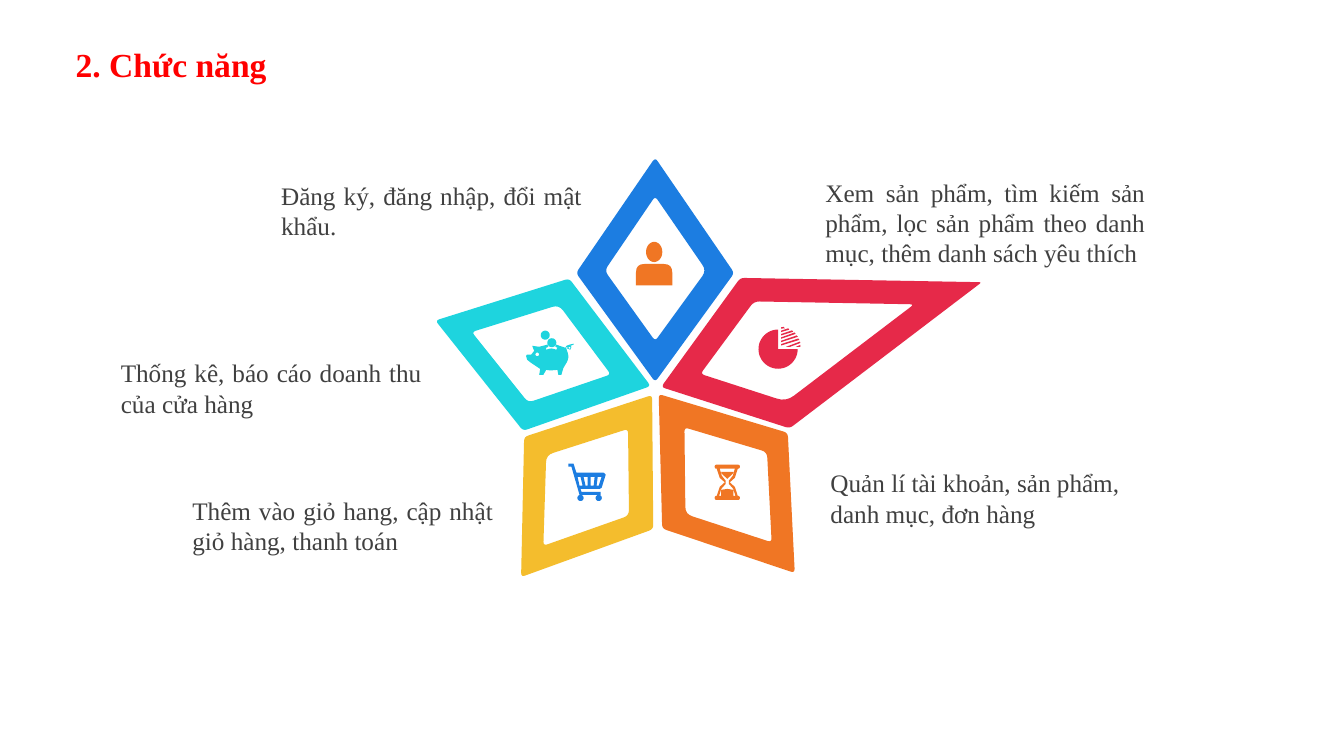
import math

from pptx import Presentation
from pptx.dml.color import RGBColor
from pptx.enum import text
from pptx.util import Pt

BLUE = RGBColor(0x1C, 0x7D, 0xE1)
RED = RGBColor(0xE6, 0x29, 0x49)
CYAN = RGBColor(0x1E, 0xD4, 0xDE)
YELLOW = RGBColor(0xF4, 0xBD, 0x2D)
ORANGE = RGBColor(0xF0, 0x76, 0x24)
TITLE_RED = RGBColor(0xFF, 0x00, 0x00)
GREY = RGBColor(0x40, 0x40, 0x40)
FONT = "Times New Roman"

# Each petal: colour, outer corners, inner corners; a third number is the corner's own rounding.
PETALS = [
    (BLUE, [(468, 112.6), (524.5, 195), (468, 272.8), (411.5, 195)],
     [(468, 140.2), (504.6, 193.3, 5), (468, 243.6), (431.9, 193.3, 4)]),
    (RED, [(528.9, 198.5), (701.3, 201.6, 2), (564.1, 306), (472.3, 276.5)],
     [(538.6, 215.3, 4), (653, 217.4), (561.6, 286.9, 7), (500.4, 267.1)]),
    (CYAN, [(406.6, 199), (311, 229), (373.7, 307.8), (464.8, 275.8)],
     [(399.2, 217.8, 5), (337, 237.2), (377.3, 287.6, 4), (436.3, 267.5)]),
    (YELLOW, [(374.4, 312.1), (372.2, 412.2), (466.6, 378), (465.8, 282.2)],
     [(390.2, 325.1, 5), (448.6, 306.4), (449.3, 368.3, 4), (388.1, 389.9)]),
    (ORANGE, [(473, 377.6), (567.7, 409.3), (562.7, 309.2), (470.5, 281.5)],
     [(489.6, 367.2, 5), (488.9, 305.3), (547.9, 322.9, 4), (551.2, 387.4)]),
]
LABELS = [
    ("Đăng ký, đăng nhập, đổi mật khẩu.", 193.7, 125.3, 229, 51, True),
    ("Thêm vào giỏ hang, cập nhật giỏ hàng, thanh toán", 130.3, 349.9, 229, 51, True),
    ("Thống kê, báo cáo doanh thu của cửa hàng", 79.2, 252, 229, 51, True),
    ("Xem sản phẩm, tìm kiếm sản phẩm, lọc sản phẩm theo danh mục, "
     "thêm danh sách yêu thích", 582.5, 123.1, 242.6, 72.7, True),
    ("Quản lí tài khoản, sản phẩm, danh mục, đơn hàng", 586.1, 330.5, 229, 51, False),
]
PIG_BODY = [
    (409.7, 245.5), (409.7, 246.2), (407.5, 247), (408.2, 247.7), (407.5, 249.8),
    (405.4, 249.1), (405.4, 247.7), (404.6, 247.7), (404.6, 249.1), (406.8, 255.6, 4),
    (402.5, 262.8), (401, 267.8), (398.9, 267.8), (398.2, 264.2), (393.1, 264.6),
    (390.2, 264.2), (388.1, 267.8), (385.2, 267.8), (385.9, 263.5), (379.4, 259.2),
    (376.6, 257), (375.8, 254.2), (376.4, 253.4), (379.4, 253.4), (381.6, 250.6),
    (380.2, 247), (385.2, 247.7), (391, 246.2), (391.7, 247.7), (390.2, 248.4),
    (390.2, 249.8), (393.8, 248.6, 2), (397.4, 249.8), (398.2, 248.4), (396.7, 247.7),
    (397.4, 246.2), (403.9, 248.4), (404.6, 247), (406.8, 246.2),
]
CART_BODY = [
    (406.1, 331.2), (409.7, 331.2), (411.8, 337.7), (431.3, 337.7), (432.7, 339.1),
    (429.8, 348.5), (428.4, 349.2), (414.7, 349.2), (415.4, 351.4), (429.1, 351.4),
    (429.1, 353.5), (414, 353.5), (408.2, 333.4), (406.1, 333.4),
]
# Top left, top right, bottom right, bottom left x of each gap in the basket.
CART_GAPS = [(412.6, 414.7, 416.2, 414), (416.9, 419.8, 419.8, 418.3),
             (421.9, 424.8, 424.1, 421.9), (427, 429.8, 427.7, 426.2)]
STRIPE_TIPS = [(560.2, 234), (563.4, 235), (566.2, 236.5), (568, 238),
               (569.5, 240.1), (570.6, 242.3)]


def rounded(corners, cut=0):
    """Return a polygon whose corners are rounded, each by its own third value or by cut."""
    points = []
    for i, (x, y, *own) in enumerate(corners):
        size = own[0] if own else cut
        if not size:
            points.append((x, y))
            continue
        ends = []
        for other in (corners[i - 1], corners[(i + 1) % len(corners)]):
            share = size / math.dist((x, y), other[:2])
            ends.append((x + (other[0] - x) * share, y + (other[1] - y) * share))
        (ax, ay), (bx, by) = ends
        for t in (0, 0.25, 0.5, 0.75, 1):
            a, c, b = (1 - t) ** 2, 2 * t * (1 - t), t * t
            points.append((a * ax + c * x + b * bx, a * ay + c * y + b * by))
    return points


def arc(cx, cy, rx, ry=None, sweep=360):
    ry = ry or rx
    angles = [math.radians(sweep * i / 36) for i in range(37)]
    return [(cx + rx * math.cos(a), cy + ry * math.sin(a)) for a in angles]


def mirrored(right_half, axis=519.5):
    return right_half + [(2 * axis - x, y) for x, y in reversed(right_half)]


def add_outline(slide, color, contours):
    """Draw closed contours as one shape; a contour inside another is a hole."""
    builder = None
    for contour in contours:
        (x, y), *rest = [(Pt(px), Pt(py)) for px, py in contour]
        if builder is None:
            builder = slide.shapes.build_freeform(x, y)
        else:
            builder.move_to(x, y)
        builder.add_line_segments(rest)
    sp = builder.convert_to_shape()
    sp.shadow.inherit = False
    sp.fill.solid()
    sp.fill.fore_color.rgb = color
    sp.line.fill.background()


def write(sp, content, size, color, align, bold=False):
    tf = sp.text_frame
    tf.word_wrap = True
    tf.auto_size = text.MSO_AUTO_SIZE.SHAPE_TO_FIT_TEXT
    tf.vertical_anchor = text.MSO_ANCHOR.TOP
    p = tf.paragraphs[0]
    p.alignment = align
    r = p.add_run()
    r.text = content
    r.font.name, r.font.size, r.font.bold = FONT, Pt(size), bold
    r.font.color.rgb = color


def add_title(slide, content):
    sp = slide.shapes.title
    sp.left, sp.top, sp.width, sp.height = Pt(46.8), Pt(28.1), Pt(480), Pt(36)
    write(sp, content, 24, TITLE_RED, text.PP_ALIGN.LEFT, bold=True)


def add_label(slide, content, left, top, width, height, justified):
    sp = slide.shapes.add_textbox(Pt(left), Pt(top), Pt(width), Pt(height))
    align = text.PP_ALIGN.JUSTIFY if justified else text.PP_ALIGN.LEFT
    write(sp, content, 18, GREY, align)


def add_piggy_bank(slide):
    circles = [(406.8, 248.4, 0.7), (383.8, 253.1, 1.3), (394.2, 244.8, 3.2), (389.5, 239.4, 3.2)]
    add_outline(slide, CYAN, [rounded(PIG_BODY)] + [arc(*c) for c in circles])


def add_pie(slide):
    pie = [(555.8, 249.4)] + arc(555.8, 249.4, 14, sweep=270)
    stripes = []
    for i, (x, y) in enumerate(STRIPE_TIPS):
        left_y = 234.3 + 2.4 * i
        stripes.append([(x - 0.4, y - 0.5), (x + 0.4, y + 0.5),
                        (558, left_y + 0.5), (558, left_y - 0.5)])
    stripes.append([(571.4, 244), (571.7, 245), (564.5, 247.7), (561.6, 247.7)])
    stripes.append([(571.7, 246.4), (571.7, 247.7), (568.5, 247.7)])
    add_outline(slide, RED, [pie] + stripes)


def add_hourglass(slide):
    halves = [
        [(527, 334.8), (524.9, 341.3), (521.3, 344.5), (524.9, 347.8), (527, 354.2)],
        [(524.9, 334.8), (523.4, 339.8), (520.6, 343.4), (520.6, 345.6), (523.8, 349.2),
         (525.3, 354.2)],
        [(523.9, 337), (523.4, 338.4), (519.5, 342)],
        [(519.5, 349.2), (523.8, 349.9), (523.8, 354.2)],
    ]
    bars = [rounded(mirrored([(528.5, top), (528.5, top + 2.9)]), 1.4) for top in (331.9, 354.2)]
    add_outline(slide, ORANGE, bars + [mirrored(half) for half in halves])


def add_cart(slide):
    gaps = [list(zip(xs, (340.6, 340.6, 347, 347))) for xs in CART_GAPS]
    wheels = [arc(x, 355.7, 2.2) for x in (414.7, 427.7)]
    add_outline(slide, BLUE, [CART_BODY] + gaps + wheels)


def add_person(slide):
    body = [(454.3, 188.6, 6), (480.2, 188.6, 6), (480.2, 203.8), (454.3, 203.8)]
    add_outline(slide, ORANGE, [rounded(body), arc(467.3, 180, 5.8, 7.2)])


def main():
    prs = Presentation()
    prs.slide_width, prs.slide_height = Pt(960), Pt(540)
    slide = prs.slides.add_slide(prs.slide_layouts[5])
    add_title(slide, "2. Chức năng")
    for color, outer, inner in PETALS:
        add_outline(slide, color, [rounded(outer, 3), rounded(inner, 3)])
    for add_icon in (add_piggy_bank, add_pie, add_hourglass, add_cart, add_person):
        add_icon(slide)
    for label in LABELS:
        add_label(slide, *label)
    prs.save("out.pptx")


if __name__ == "__main__":
    main()
